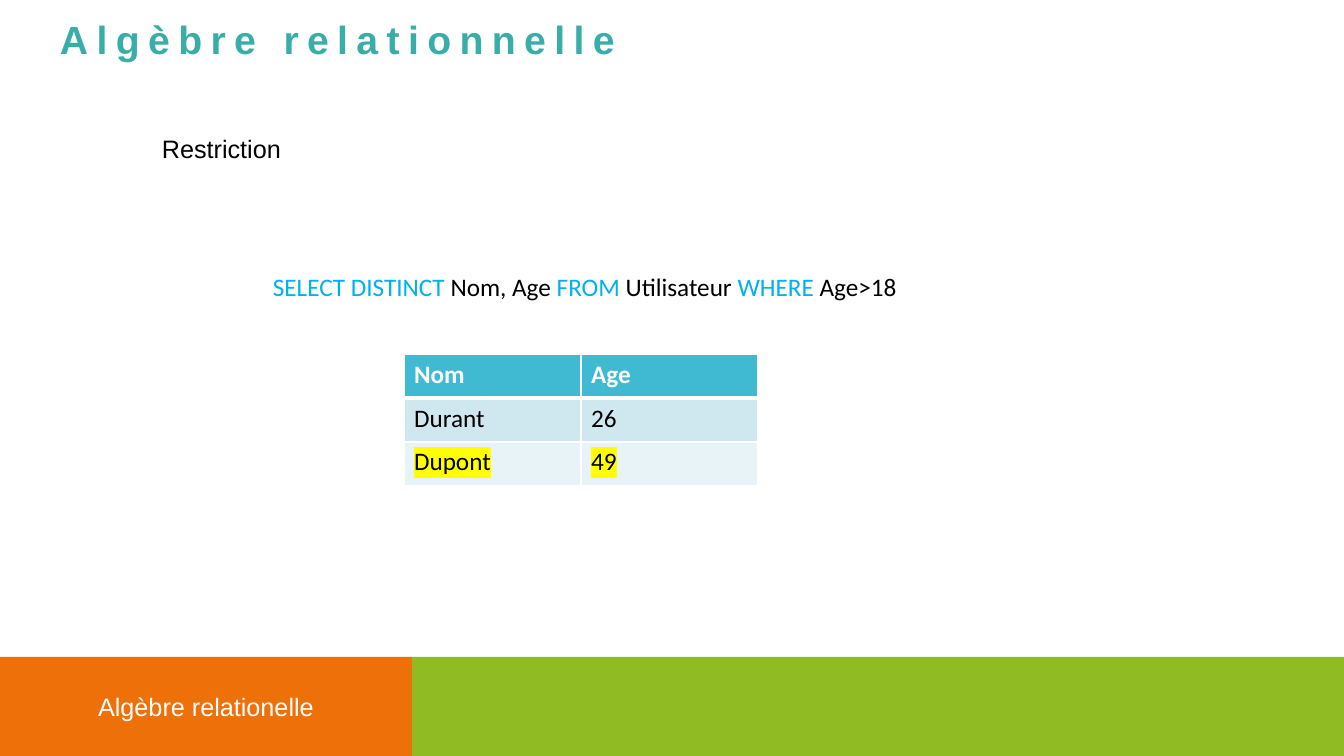
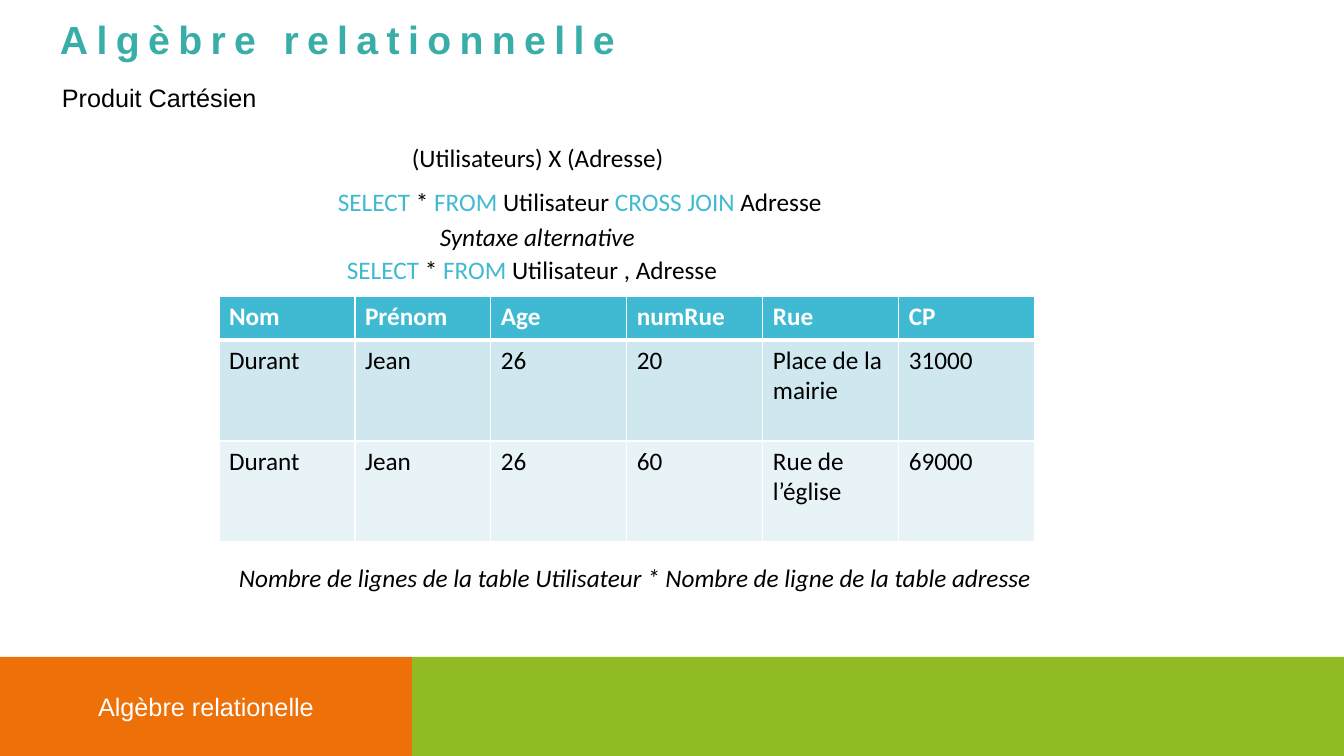
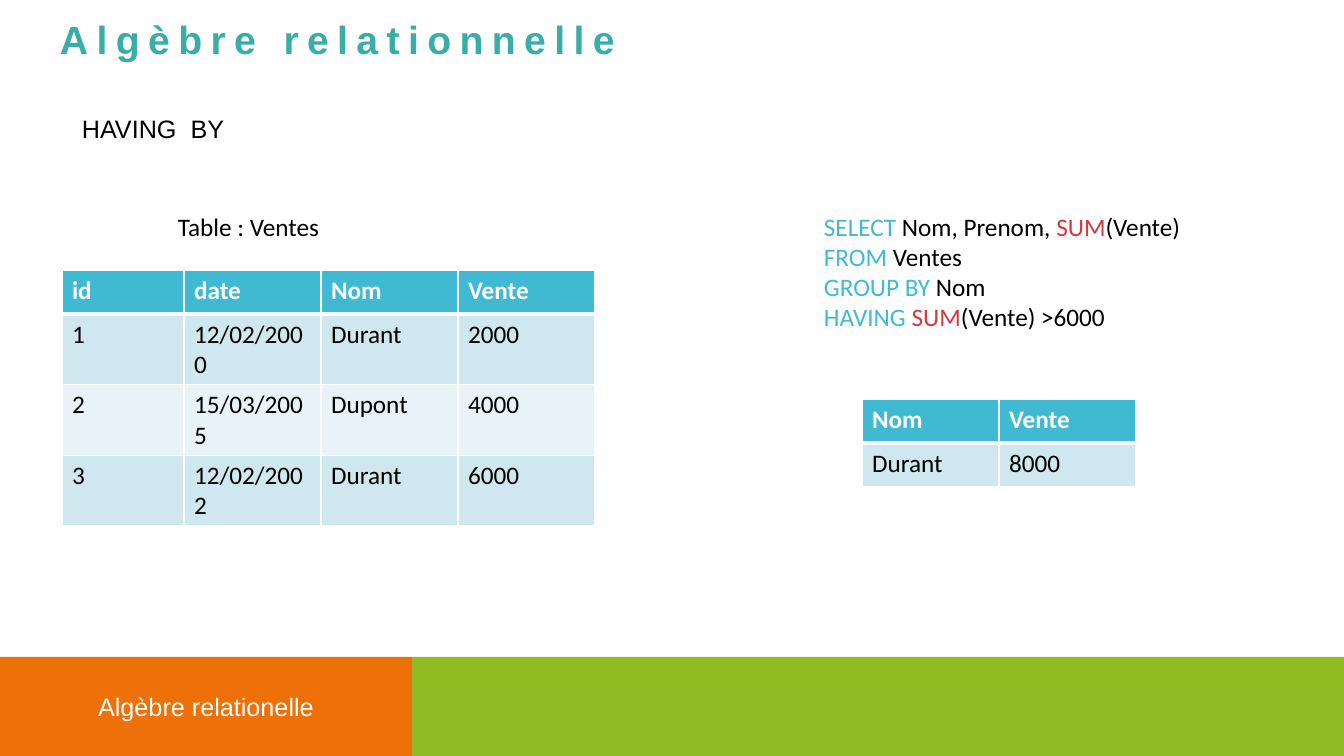
import pptx
import pptx.dml.color
import pptx.enum.shapes
import pptx.enum.text
import pptx.oxml
import pptx.oxml.ns
import pptx.util

EMU_PER_PX = 914400 / 100.8
SLIDE_WIDTH, SLIDE_HEIGHT = 1344, 756
FOOTER_TOP, FOOTER_SPLIT = 657, 412
ROW_HEIGHT, LINE_HEIGHT = 44, 40

BLACK, WHITE = "000000", "FFFFFF"
TEAL, ORANGE, GREEN = "39AEA9", "EE7008", "90BB23"
CYAN, BLUE, RED, YELLOW = "40BAD2", "00B0F0", "D5393D", "FFFF00"
BODY_FILLS = ("CFE7EE", "E8F3F7")

BODY = {"name": "Calibri", "size": pptx.util.Pt(18), "bold": False}
NOTE = {**BODY, "italic": True}
HEADER = {**BODY, "bold": True}
LABEL = {**BODY, "name": "Arial"}
TITLE = {"name": "Arial", "size": pptx.util.Pt(28), "bold": True}


def px(length):
    return pptx.util.Emu(round(length * EMU_PER_PX))


def rgb(color):
    return pptx.dml.color.RGBColor.from_string(color)


def fill_solid(target, color):
    target.fill.solid()
    target.fill.fore_color.rgb = rgb(color)


def add_run(paragraph, text, text_format, color=BLACK):
    run = paragraph.add_run()
    run.text = text
    for name, value in text_format.items():
        setattr(run.font, name, value)
    run.font.color.rgb = rgb(color)
    return run


def highlight(run, color):
    element = pptx.oxml.parse_xml(
        f'<a:highlight {pptx.oxml.ns.nsdecls("a")}><a:srgbClr val="{color}"/></a:highlight>')
    run.font._element.find(pptx.oxml.ns.qn("a:latin")).addprevious(element)


def add_text(slide, box, lines, text_format=BODY, wrap=True):
    """Add a text box; each line is a list of (text, color) pairs."""
    frame = slide.shapes.add_textbox(*map(px, box)).text_frame
    frame.word_wrap = wrap
    for index, line in enumerate(lines):
        paragraph = frame.add_paragraph() if index else frame.paragraphs[0]
        for text, color in line:
            add_run(paragraph, text, text_format, color)
    return frame


def add_label(slide, left, top, width, text):
    add_text(slide, (left, top, width, LINE_HEIGHT), [[(text, BLACK)]], LABEL, wrap=False)


def add_caption(slide, left, top, width, text, text_format=BODY):
    add_text(slide, (left, top, width, LINE_HEIGHT), [[(text, BLACK)]], text_format)


def add_title(slide, text):
    frame = add_text(slide, (60, 27, 651, 35), [[(text, TEAL)]], TITLE)
    for side in ("left", "top", "right", "bottom"):
        setattr(frame, f"margin_{side}", 0)
    paragraph = frame.paragraphs[0]
    paragraph.line_spacing = pptx.util.Pt(25)
    paragraph.runs[0].font._element.set("spc", "600")


def add_band(slide, left, right, color):
    shape = slide.shapes.add_shape(
        pptx.enum.shapes.MSO_SHAPE.RECTANGLE,
        px(left), px(FOOTER_TOP), px(right - left), px(SLIDE_HEIGHT - FOOTER_TOP))
    shape.shadow.inherit = False
    fill_solid(shape, color)
    shape.line.fill.background()
    return shape


def add_footer(slide, text):
    frame = add_band(slide, 0, FOOTER_SPLIT, ORANGE).text_frame
    frame.vertical_anchor = pptx.enum.text.MSO_ANCHOR.MIDDLE
    paragraph = frame.paragraphs[0]
    paragraph.alignment = pptx.enum.text.PP_ALIGN.CENTER
    add_run(paragraph, text, LABEL, WHITE)
    add_band(slide, FOOTER_SPLIT, SLIDE_WIDTH, GREEN)


def set_borders(cell, top, bottom):
    """Draw white borders, with top and bottom widths in points."""
    properties = cell._tc.get_or_add_tcPr()
    widths = {"L": 1, "R": 1, "T": top, "B": bottom}
    for index, (side, width) in enumerate(widths.items()):
        properties.insert(index, pptx.oxml.parse_xml(
            f'<a:ln{side} {pptx.oxml.ns.nsdecls("a")} w="{pptx.util.Pt(width)}">'
            f'<a:solidFill><a:srgbClr val="{WHITE}"/></a:solidFill></a:ln{side}>'))


def add_data_table(slide, left, top, column_widths, rows, body_height=ROW_HEIGHT,
                   marked_row=None):
    heights = [ROW_HEIGHT] + [body_height] * (len(rows) - 1)
    table = slide.shapes.add_table(
        len(rows), len(column_widths), px(left), px(top),
        px(sum(column_widths)), px(sum(heights))).table
    for column, width in zip(table.columns, column_widths):
        column.width = px(width)
    for row_index, values in enumerate(rows):
        table.rows[row_index].height = px(heights[row_index])
        is_header = row_index == 0
        fill = CYAN if is_header else BODY_FILLS[(row_index - 1) % 2]
        text_format, color = (HEADER, WHITE) if is_header else (BODY, BLACK)
        for column_index, value in enumerate(values):
            cell = table.cell(row_index, column_index)
            fill_solid(cell, fill)
            set_borders(cell, 3 if row_index == 1 else 1, 3 if is_header else 1)
            run = add_run(cell.text_frame.paragraphs[0], value, text_format, color)
            if row_index == marked_row:
                highlight(run, YELLOW)


def add_base_slide(presentation):
    slide = presentation.slides.add_slide(presentation.slide_layouts[6])
    add_title(slide, "Algèbre relationnelle")
    add_footer(slide, "Algèbre relationelle")
    return slide


def build_restriction(slide):
    add_label(slide, 152, 128, 140, "Restriction")
    add_text(slide, (263, 266, 758, LINE_HEIGHT), [[
        ("SELECT DISTINCT", BLUE), (" Nom, Age ", BLACK), ("FROM", BLUE),
        (" Utilisateur ", BLACK), ("WHERE", BLUE), (" Age>18", BLACK)]])
    add_data_table(slide, 404, 354, [177] * 2,
                   [("Nom", "Age"), ("Durant", "26"), ("Dupont", "49")], marked_row=2)


def build_cartesian_product(slide):
    add_label(slide, 52, 77, 224, "Produit Cartésien")
    add_caption(slide, 402, 137, 297, "(Utilisateurs) X (Adresse)")
    select_all = [("SELECT", CYAN), (" * ", BLACK), ("FROM", CYAN)]
    add_text(slide, (328, 181, 614, LINE_HEIGHT), [select_all + [
        (" Utilisateur ", BLACK), ("CROSS JOIN", CYAN), (" Adresse", BLACK)]])
    add_caption(slide, 430, 216, 242, "Syntaxe alternative", NOTE)
    add_text(slide, (337, 249, 614, LINE_HEIGHT),
             [select_all + [(" Utilisateur , Adresse", BLACK)]])
    add_data_table(slide, 219, 296, [136] * 6, [
        ("Nom", "Prénom", "Age", "numRue", "Rue", "CP"),
        ("Durant", "Jean", "26", "20", "Place de la mairie", "31000"),
        ("Durant", "Jean", "26", "60", "Rue de l’église", "69000"),
    ], body_height=101)
    add_caption(slide, 229, 557, 990,
                "Nombre de lignes de la table Utilisateur * Nombre de ligne de la table adresse",
                NOTE)


def build_having(slide):
    add_label(slide, 72, 108, 163, "HAVING  BY")
    add_caption(slide, 168, 206, 297, "Table : Ventes")
    add_data_table(slide, 62, 270, [122] + [137] * 3, [
        ("id", "date", "Nom", "Vente"),
        ("1", "12/02/2000", "Durant", "2000"),
        ("2", "15/03/2005", "Dupont", "4000"),
        ("3", "12/02/2002", "Durant", "6000"),
    ], body_height=70)
    add_text(slide, (814, 206, 480, 163), [
        [("SELECT", CYAN), (" Nom, Prenom, ", BLACK), ("SUM", RED), ("(Vente)", BLACK)],
        [("FROM", CYAN), (" Ventes", BLACK)],
        [("GROUP BY ", CYAN), ("Nom", BLACK)],
        [("HAVING ", CYAN), ("SUM", RED), ("(Vente) >6000", BLACK)],
    ])
    add_data_table(slide, 862, 399, [137] * 2, [("Nom", "Vente"), ("Durant", "8000")])


def main():
    presentation = pptx.Presentation()
    presentation.slide_width = px(SLIDE_WIDTH)
    presentation.slide_height = px(SLIDE_HEIGHT)
    for build in (build_restriction, build_cartesian_product, build_having):
        build(add_base_slide(presentation))
    presentation.save("out.pptx")


if __name__ == "__main__":
    main()
